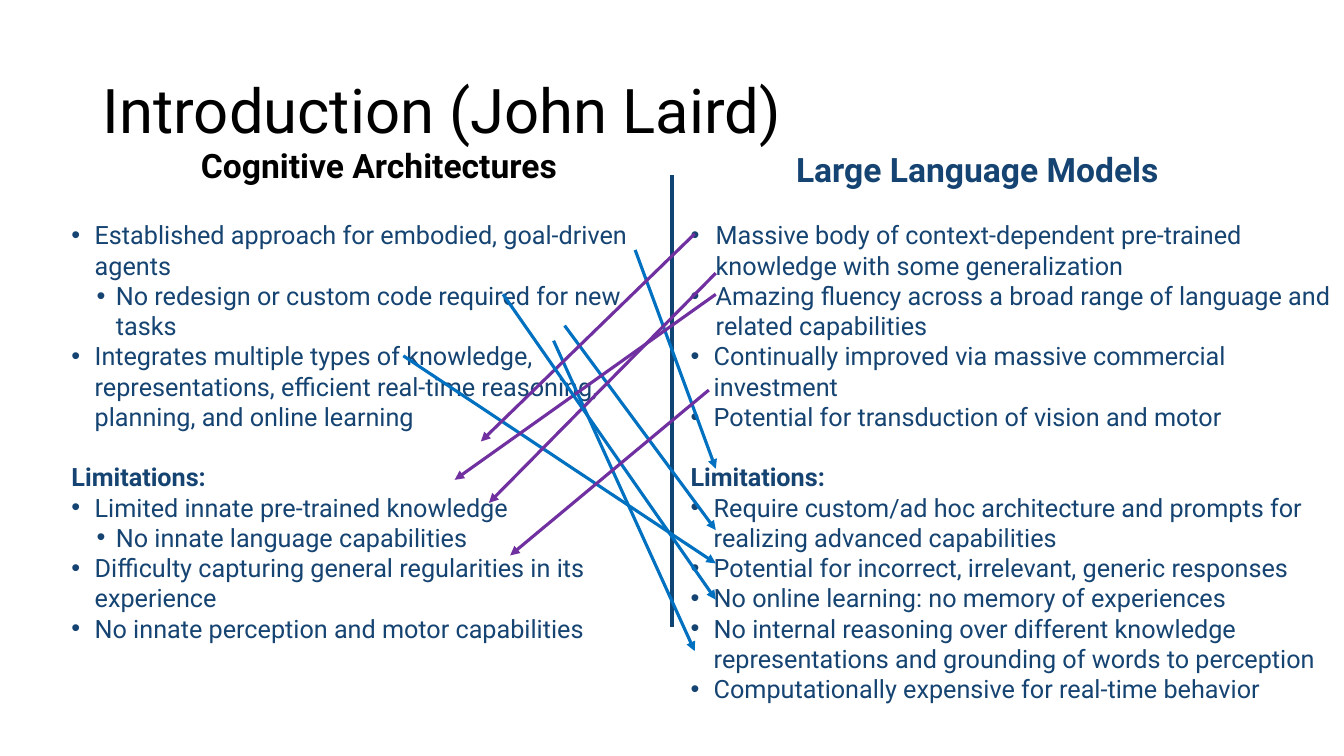
from lxml.etree import SubElement
from pptx import Presentation
from pptx.dml.color import RGBColor
from pptx.enum.shapes import MSO_CONNECTOR
from pptx.enum.text import MSO_ANCHOR, MSO_AUTO_SIZE, PP_ALIGN
from pptx.oxml.ns import qn
from pptx.util import Inches, Pt

COLORS = {"black": "000000", "navy": "164472", "divider": "104472",
          "blue": "0070C0", "purple": "7030A0"}

prs = Presentation()
prs.slide_width, prs.slide_height = Inches(13.33), Inches(7.5)
X, Y = prs.slide_width / 100, prs.slide_height / 100  # one percent of the slide
s = prs.slides.add_slide(prs.slide_layouts[4])  # Comparison


def write(p, text, size, color, bold=False):
    p.space_before = Pt(0)
    r = p.add_run()
    r.text = text
    for name, value in {"name": "Roboto", "size": Pt(size), "bold": bold}.items():
        setattr(r.font, name, value)
    r.font.color.rgb = RGBColor.from_string(COLORS[color])


def line(x1, y1, x2, y2, color, width):
    c = s.shapes.add_connector(MSO_CONNECTOR.STRAIGHT, int(x1 * X), int(y1 * Y),
                               int(x2 * X), int(y2 * Y))
    c.line.color.rgb = RGBColor.from_string(COLORS[color])
    c.line.width = Pt(width)
    SubElement(c._element.spPr, qn("a:effectLst"))
    return c


# Placeholder places: left, top, width, height in percent of the slide
places = {0: (6.9, 5.33, 86.25, 19.33),
          1: (10.8, 19.07, 34.8, 6.27), 3: (54.23, 19.07, 36.97, 6.27),
          2: (4.57, 28.4, 45.4, 49.87), 4: (50.63, 28.4, 49.37, 66)}
for idx, (x, y, w, h) in places.items():
    sp = s.placeholders[idx]
    sp.left, sp.top, sp.width, sp.height = int(x * X), int(y * Y), int(w * X), int(h * Y)
    format_values = {"word_wrap": True, "auto_size": MSO_AUTO_SIZE.NONE,
                     "vertical_anchor": MSO_ANCHOR.TOP if idx else MSO_ANCHOR.MIDDLE}
    for name, value in format_values.items():
        setattr(sp.text_frame, name, value)

# Title and column headings
headings = [(0, "Introduction (John Laird)", 44, "black", PP_ALIGN.LEFT, 0.9),
            (1, "Cognitive Architectures", 24, "black", PP_ALIGN.CENTER, 0.9),
            (3, "Large Language Models", 24, "navy", PP_ALIGN.CENTER, 1.0)]
for idx, text, size, color, align, spacing in headings:
    p = s.placeholders[idx].text_frame.paragraphs[0]
    p.alignment, p.line_spacing = align, spacing
    write(p, text, size, color, bold=idx > 0)

# Lists: (kind of paragraph, text)
lists = {
    2: [("item", "Established approach for embodied, goal-driven agents"),
        ("sub", "No redesign or custom code required for new tasks"),
        ("item", "Integrates multiple types of knowledge, representations, "
                 "efficient real-time reasoning, planning, and online learning"),
        ("head", "Limitations:"),
        ("item", "Limited innate pre-trained knowledge"),
        ("sub", "No innate language capabilities"),
        ("item", "Difficulty capturing general regularities in its experience"),
        ("item", "No innate perception and motor capabilities")],
    4: [("wide", "Massive body of context-dependent pre-trained knowledge "
                 "with some generalization"),
        ("wide", "Amazing fluency across a broad range of language and "
                 "related capabilities"),
        ("item", "Continually improved via massive commercial investment"),
        ("item", "Potential for transduction of vision and motor"),
        ("head", "Limitations:"),
        ("item", "Require custom/ad hoc architecture and prompts for "
                 "realizing advanced capabilities"),
        ("item", "Potential for incorrect, irrelevant, generic responses"),
        ("item", "No online learning: no memory of experiences"),
        ("item", "No internal reasoning over different knowledge "
                 "representations and grounding of words to perception"),
        ("item", "Computationally expensive for real-time behavior")],
}
indents = {"item": (0.23, -0.23), "wide": (0.25, -0.25),
           "sub": (0.44, -0.19), "head": (0, 0)}
for idx, items in lists.items():
    tf = s.placeholders[idx].text_frame
    for i, (kind, text) in enumerate(items):
        p = tf.add_paragraph() if i else tf.paragraphs[0]
        p.level = int(kind == "sub")
        pPr = p._p.get_or_add_pPr()
        for name, value in zip(("marL", "indent"), indents[kind]):
            pPr.set(name, str(Inches(value)))
        if kind == "head":
            SubElement(pPr, qn("a:buNone"))
        else:
            SubElement(pPr, qn("a:buFont"), typeface="Arial")
            SubElement(pPr, qn("a:buChar"), char="•")
        write(p, text, 18, "navy", bold=kind == "head")
        p.line_spacing = 1.0
        if kind == "head":
            p.space_before = Pt(21.6)  # one line

# Divider between the columns
line(50, 23.2, 50, 82.93, "divider", 3)

# Arrows from strengths to the limitations they address
arrows = [(47.26, 33.07, 53.26, 62), (41.19, 45.07, 51.69, 86.13),
          (30.01, 47.07, 53.26, 74.53), (42.01, 43.07, 53.26, 70.13),
          (51.69, 30.93, 35.78, 58.4), (53.26, 36.13, 36.38, 66.53),
          (53.26, 38.93, 33.83, 63.47), (37.43, 38.93, 53.26, 79.33),
          (52.74, 51.6, 37.96, 73.47)]
for x1, y1, x2, y2 in arrows:
    c = line(x1, y1, x2, y2, "blue" if x2 > x1 else "purple", 2.25)
    SubElement(c.line._get_or_add_ln(), qn("a:tailEnd"), type="triangle")

prs.save("out.pptx")
